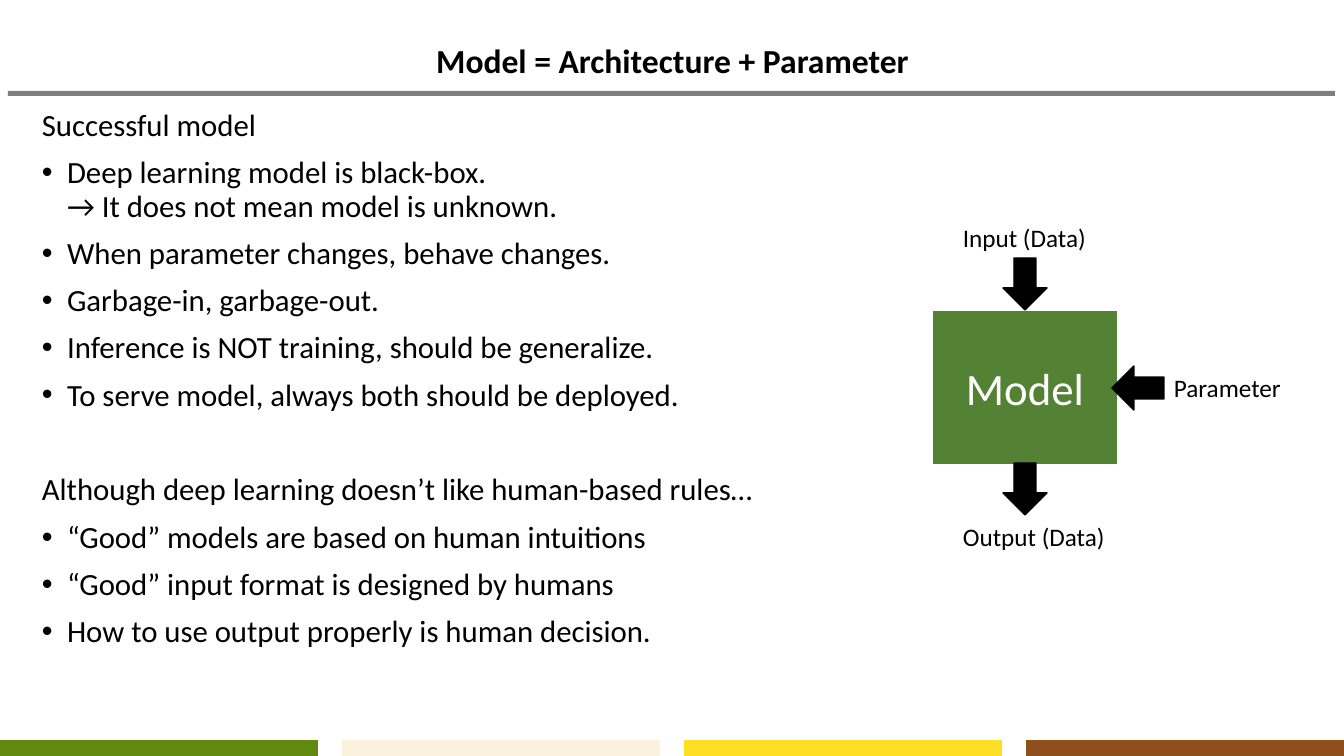
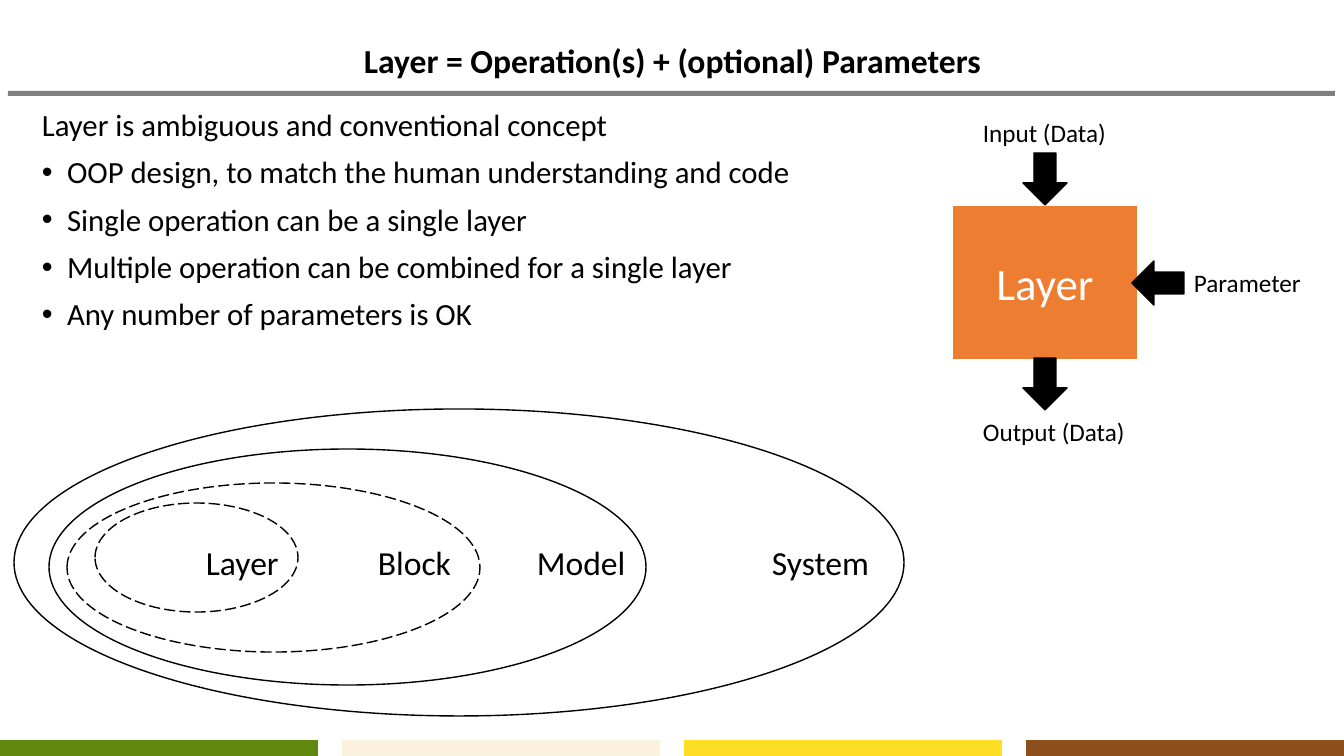
import lxml.etree
import pptx
import pptx.dml.color
import pptx.enum.dml
import pptx.enum.shapes
import pptx.enum.text
import pptx.oxml.ns
import pptx.util

SLIDE_W, SLIDE_H = 1344, 756
EMU_PER_PX = 914400 / 100.8
FONT = "Calibri"
BLACK, WHITE, GREY = "000000", "FFFFFF", "808080"
GREEN, ORANGE = "548235", "ED7D31"
BAND_COLOURS = ["61890F", "FAF2DD", "FFDF24", "8E4F1C"]
BODY_BOX = (32, 105, 1281, 607)
SHAPE = pptx.enum.shapes.MSO_SHAPE
CENTER = pptx.enum.text.PP_ALIGN.CENTER
MIDDLE = pptx.enum.text.MSO_ANCHOR.MIDDLE


def px(length):
    return pptx.util.Emu(round(length * EMU_PER_PX))


def rgb(value):
    return pptx.dml.color.RGBColor.from_string(value)


def set_font(paragraph, size, colour=BLACK, bold=False):
    font = paragraph.font
    font.name, font.size, font.bold = FONT, pptx.util.Pt(size), bold
    font.color.rgb = rgb(colour)


def add_shape(slide, kind, box, fill, line=None, width=1.0):
    shape = slide.shapes.add_shape(kind, *map(px, box))
    shape.shadow.inherit = False
    shape.fill.solid()
    shape.fill.fore_color.rgb = rgb(fill)
    if line:
        shape.line.color.rgb = rgb(line)
        shape.line.width = pptx.util.Pt(width)
    else:
        shape.line.fill.background()
    return shape


def add_label(slide, box, text, size):
    """Add a single line of text; the box must be wide enough to hold it."""
    frame = slide.shapes.add_textbox(*map(px, box)).text_frame
    frame.word_wrap = False
    paragraph = frame.paragraphs[0]
    paragraph.text = text
    set_font(paragraph, size)


def add_bullet(paragraph):
    properties = paragraph._p.get_or_add_pPr()
    indent = pptx.util.Inches(0.25)
    properties.set("marL", str(indent))
    properties.set("indent", str(-indent))
    bullet_font = lxml.etree.SubElement(properties, pptx.oxml.ns.qn("a:buFont"))
    bullet_font.set("typeface", "Arial")
    bullet = lxml.etree.SubElement(properties, pptx.oxml.ns.qn("a:buChar"))
    bullet.set("char", "•")


def add_frame(slide, title):
    """Add the footer bands, the rule and the title that all slides share."""
    band_w, band_h = 318, 16
    step = (SLIDE_W - band_w) // (len(BAND_COLOURS) - 1)
    for i, colour in enumerate(BAND_COLOURS):
        add_shape(slide, SHAPE.RECTANGLE, (i * step, SLIDE_H - band_h, band_w, band_h), colour)
    add_shape(slide, SHAPE.RECTANGLE, (8, 91, 1327, 5), GREY)

    frame = slide.shapes.add_textbox(px(32), px(40), px(1281), px(45)).text_frame
    frame.word_wrap = True
    frame.vertical_anchor = MIDDLE
    paragraph = frame.paragraphs[0]
    paragraph.text = title
    paragraph.alignment = CENTER
    paragraph.line_spacing = 0.9
    set_font(paragraph, 24, bold=True)


def add_body(slide, box, sections):
    """Add headings, each followed by its bullets; later headings stand apart."""
    frame = slide.shapes.add_textbox(*map(px, box)).text_frame
    frame.word_wrap = True
    paragraph = None
    for heading, points in sections:
        for i, text in enumerate([heading, *points]):
            starts_new_section = i == 0 and paragraph is not None
            paragraph = frame.add_paragraph() if paragraph is not None else frame.paragraphs[0]
            paragraph.text = text
            paragraph.line_spacing = 0.9
            paragraph.space_before = pptx.util.Pt(44 if starts_new_section else 10)
            set_font(paragraph, 22)
            if i > 0:
                add_bullet(paragraph)


def add_data_flow(slide, left, top, name, colour):
    """Add a block with its input, output and parameter arrows."""
    block = add_shape(slide, SHAPE.RECTANGLE, (left, top, 186, 155), colour, WHITE, 1.5)
    block.text_frame.vertical_anchor = MIDDLE
    paragraph = block.text_frame.paragraphs[0]
    paragraph.text = name
    paragraph.alignment = CENTER
    set_font(paragraph, 32, WHITE)

    for text, dx, dy, width in [("Input (Data)", 21, -93, 145),
                                ("Output (Data)", 21, 206, 164),
                                ("Parameter", 232, 57, 128)]:
        add_label(slide, (left + dx, top + dy, width, 40), text, 18)

    for kind, dx, dy, width, height in [(SHAPE.DOWN_ARROW, 71, -52, 44, 52),
                                        (SHAPE.DOWN_ARROW, 71, 153, 44, 52),
                                        (SHAPE.LEFT_ARROW, 180, 56, 52, 44)]:
        add_shape(slide, kind, (left + dx, top + dy, width, height), BLACK, BLACK)


def add_nested_sets(slide, left, top):
    """Add ellipses from the widest concept to the narrowest, named at the right."""
    for name, dx, dy, width, height, dashed, label_dx in [
            ("System", 0, 0, 890, 307, False, 748),
            ("Model", 35, 40, 597, 236, False, 513),
            ("Block", 53, 74, 413, 169, True, 354),
            ("Layer", 81, 94, 203, 109, True, 182)]:
        ellipse = add_shape(slide, SHAPE.OVAL, (left + dx, top + dy, width, height), WHITE, BLACK)
        if dashed:
            ellipse.line.dash_style = pptx.enum.dml.MSO_LINE.LONG_DASH
        add_label(slide, (left + label_dx, top + 128, 130, 50), name, 24)


def add_model_slide(slide):
    add_frame(slide, "Model = Architecture + Parameter")
    add_body(slide, BODY_BOX, [
        ("Successful model", [
            "Deep learning model is black-box.\n→ It does not mean model is unknown.",
            "When parameter changes, behave changes.",
            "Garbage-in, garbage-out.",
            "Inference is NOT training, should be generalize.",
            "To serve model, always both should be deployed."]),
        ("Although deep learning doesn’t like human-based rules…", [
            "“Good” models are based on human intuitions",
            "“Good” input format is designed by humans",
            "How to use output properly is human decision."])])
    add_data_flow(slide, 932, 310, "Model", GREEN)


def add_layer_slide(slide):
    add_frame(slide, "Layer = Operation(s) + (optional) Parameters")
    add_nested_sets(slide, 14, 409)
    add_body(slide, BODY_BOX, [
        ("Layer is ambiguous and conventional concept", [
            "OOP design, to match the human understanding and code",
            "Single operation can be a single layer",
            "Multiple operation can be combined for a single layer",
            "Any number of parameters is OK"])])
    add_data_flow(slide, 952, 205, "Layer", ORANGE)


def main():
    deck = pptx.Presentation()
    deck.slide_width, deck.slide_height = px(SLIDE_W), px(SLIDE_H)
    blank = deck.slide_layouts[6]
    for fill_slide in (add_model_slide, add_layer_slide):
        fill_slide(deck.slides.add_slide(blank))
    deck.save("out.pptx")


if __name__ == "__main__":
    main()
